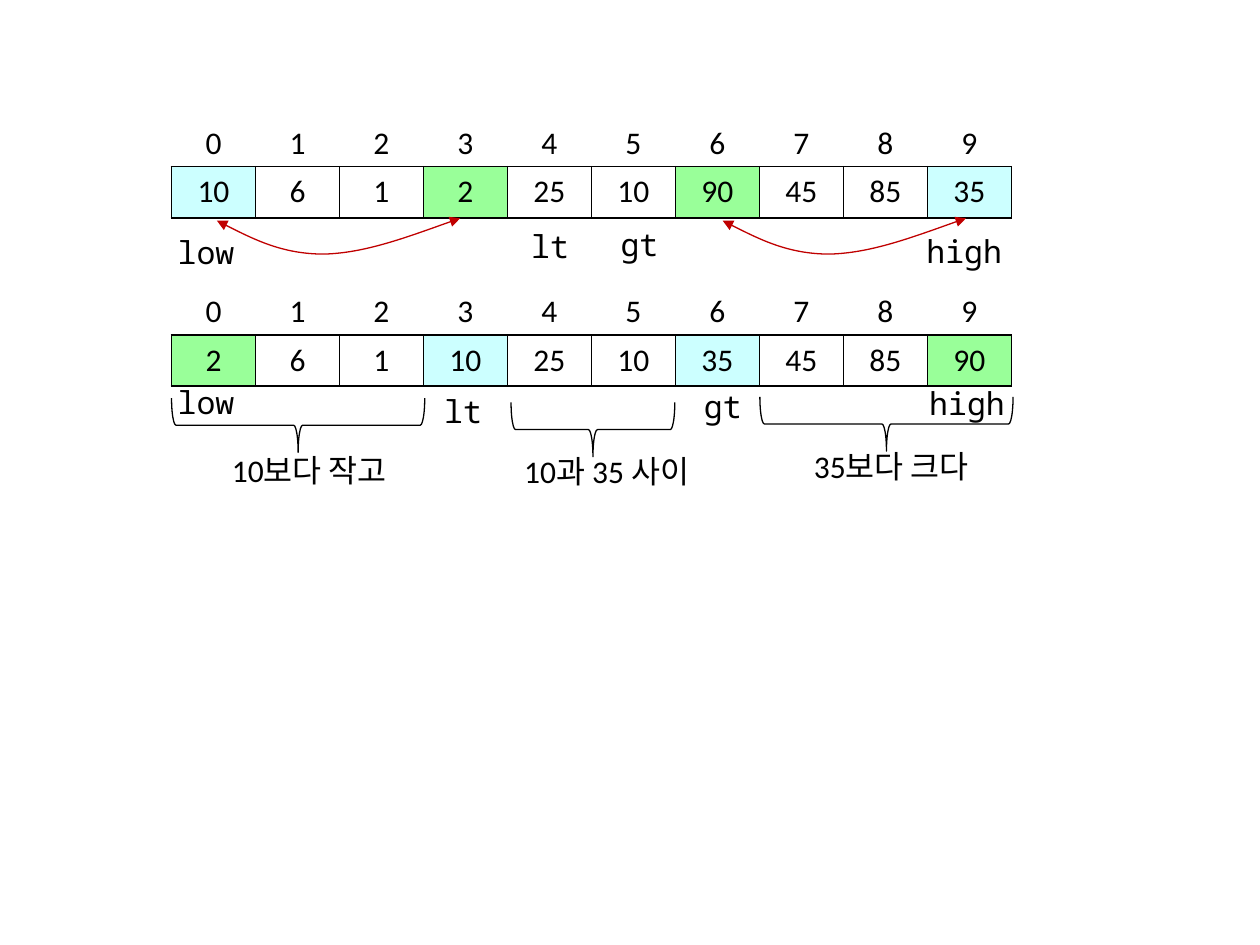
import pptx
import pptx.util
import pptx.dml.color
import pptx.enum.shapes
import pptx.enum.text
import pptx.oxml
import pptx.oxml.ns
from pptx.util import Pt

COLORS = {"black": "000000", "cyan": "CCFFFF", "green": "99FF99", "red": "C00000"}
BODY_FONT = "Calibri"
CODE_FONT = "Noto Sans Mono"
NO_STYLE = "{2D5ABB26-0587-4C30-8999-92F81FD0307C}"
COLUMN_WIDTH = 48
ROW_HEIGHT = 29.3
LABEL_HEIGHT = 29
BRACE_HEIGHT = 31
POINTER_WIDTHS = {"low": 51, "high": 67, "lt": 51, "gt": 42.5}
ARC_POINTS = [(0, 0.07), (0.13, 0.52), (0.27, 1), (0.44, 1), (0.61, 0.97), (0.8, 0.48), (1, 0)]


def rgb(name):
    return pptx.dml.color.RGBColor.from_string(COLORS[name])


def append_xml(parent, tag, content="", attributes=""):
    namespace = pptx.oxml.ns.nsdecls("a")
    element = pptx.oxml.parse_xml(f"<a:{tag} {namespace} {attributes}>{content}</a:{tag}>")
    parent.append(element)
    return element


def style_paragraph(paragraph, font_name):
    paragraph.alignment = pptx.enum.text.PP_ALIGN.CENTER
    for run in paragraph.runs:
        run.font.name = font_name
        run.font.size = Pt(18)
        run.font.color.rgb = rgb("black")


def add_row(slide, left, top, values, fills=None, bordered=False):
    width = COLUMN_WIDTH * len(values)
    frame = slide.shapes.add_table(1, len(values), Pt(left), Pt(top), Pt(width), Pt(ROW_HEIGHT))
    table = frame.table
    table.first_row = False
    table.horz_banding = False
    table._tbl.tblPr[0].text = NO_STYLE
    for index, value in enumerate(values):
        cell = table.cell(0, index)
        cell.text = str(value)
        cell.vertical_anchor = pptx.enum.text.MSO_ANCHOR.MIDDLE
        style_paragraph(cell.text_frame.paragraphs[0], BODY_FONT)
        if bordered:
            line = f'<a:solidFill><a:srgbClr val="{COLORS["black"]}"/></a:solidFill>'
            for side in ("lnL", "lnR", "lnT", "lnB"):
                append_xml(cell._tc.get_or_add_tcPr(), side, line, 'w="12700"')
        if fills and index in fills:
            cell.fill.solid()
            cell.fill.fore_color.rgb = rgb(fills[index])
        else:
            cell.fill.background()


def add_label(slide, text, center, top, width, font_name):
    box = slide.shapes.add_textbox(Pt(center - width / 2), Pt(top), Pt(width), Pt(LABEL_HEIGHT))
    box.text_frame.word_wrap = True
    box.text_frame.auto_size = pptx.enum.text.MSO_AUTO_SIZE.SHAPE_TO_FIT_TEXT
    box.text_frame.text = text
    style_paragraph(box.text_frame.paragraphs[0], font_name)


def style_outline(shape, color):
    shape.shadow.inherit = False
    shape.fill.background()
    shape.line.color.rgb = rgb(color)
    shape.line.width = Pt(0.75)


def add_array_state(slide, left, top, values, fills, pointers):
    add_row(slide, left, top, range(len(values)))
    add_row(slide, left, top + 27.7, values, fills, bordered=True)
    for text, center, offset in pointers:
        add_label(slide, text, left + center, top + offset, POINTER_WIDTHS[text], CODE_FONT)


def add_swap_arc(slide, left, top, width, height):
    points = [(Pt(left + x * width), Pt(top + y * height)) for x, y in ARC_POINTS]
    builder = slide.shapes.build_freeform(*points[0])
    builder.add_line_segments(points[1:], close=False)
    arc = builder.convert_to_shape()
    style_outline(arc, "red")
    outline = arc._element.spPr.find(".//" + pptx.oxml.ns.qn("a:path"))
    segments = list(outline)[1:]
    for start in range(0, len(segments), 3):
        curve = append_xml(outline, "cubicBezTo")
        for segment in segments[start:start + 3]:
            curve.append(segment[0])
            outline.remove(segment)
    line = arc.line._get_or_add_ln()
    for end in ("headEnd", "tailEnd"):
        append_xml(line, end, attributes='type="triangle"')


def add_range(slide, left, top, width, text, caption_center, caption_top):
    brace = slide.shapes.add_shape(
        pptx.enum.shapes.MSO_SHAPE.RIGHT_BRACE,
        Pt(left + (width - BRACE_HEIGHT) / 2), Pt(top + (BRACE_HEIGHT - width) / 2),
        Pt(BRACE_HEIGHT), Pt(width))
    brace.rotation = 90
    style_outline(brace, "black")
    add_label(slide, text, caption_center, caption_top, 163.4, BODY_FONT)


def main():
    presentation = pptx.Presentation()
    presentation.slide_width = Pt(720)
    presentation.slide_height = Pt(540)
    slide = presentation.slides.add_slide(presentation.slide_layouts[6])

    add_array_state(
        slide, 98, 67.5, [10, 6, 1, 2, 25, 10, 90, 45, 85, 35],
        {0: "cyan", 3: "green", 6: "green", 9: "cyan"},
        [("low", 19.7, 62), ("high", 453, 61.3), ("lt", 216.3, 58.5), ("gt", 267.4, 57.8)])
    add_array_state(
        slide, 98, 163.6, [2, 6, 1, 10, 25, 10, 35, 45, 85, 90],
        {0: "green", 3: "cyan", 6: "cyan", 9: "green"},
        [("low", 19.7, 51.7), ("high", 454.6, 52.4), ("lt", 166.6, 56.7), ("gt", 315, 53.8)])

    for left in (124, 413):
        add_swap_arc(slide, left, 124.7, 139, 20.5)

    add_range(slide, 98, 227.5, 144.7, "10보다 작고", 176.8, 254.2)
    add_range(slide, 434.2, 226.8, 144.7, "35보다 크다", 509.4, 252)
    add_range(slide, 292, 230, 93.6, "10과 35 사이", 346.7, 254.9)

    presentation.save("out.pptx")


if __name__ == "__main__":
    main()
